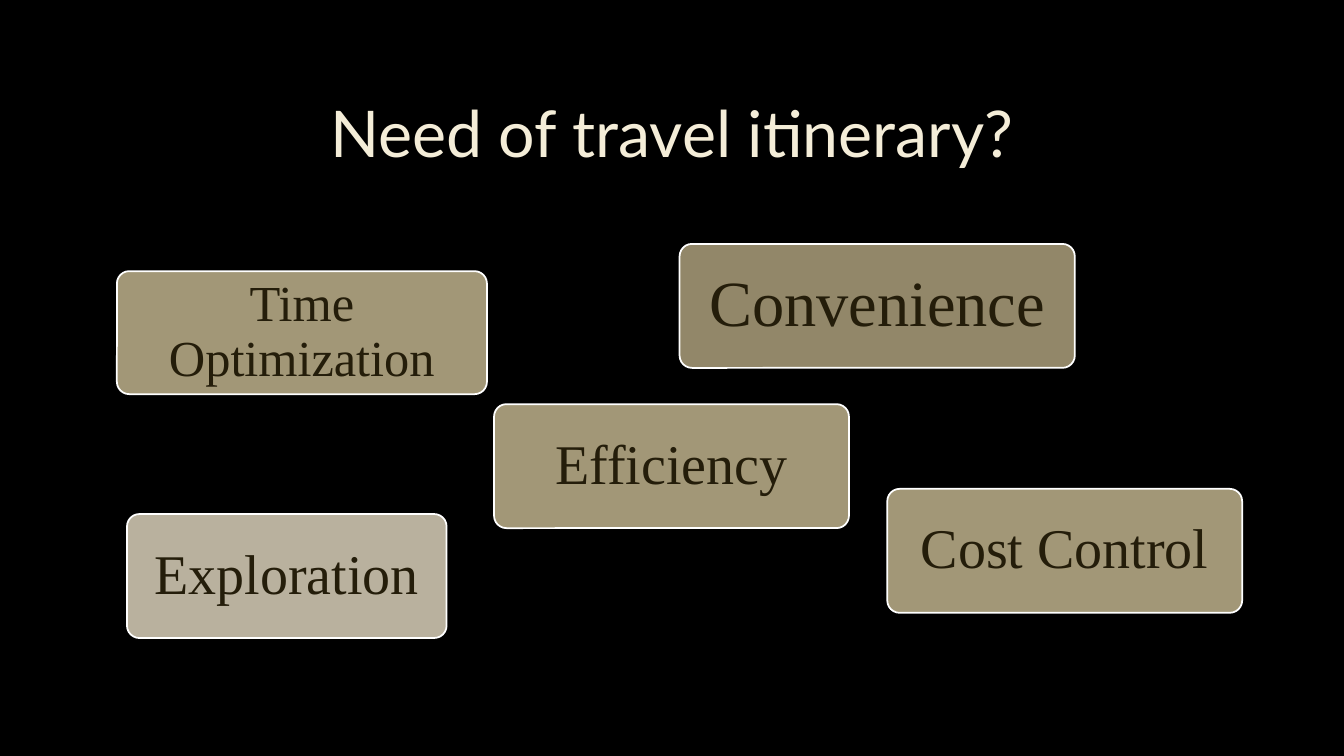
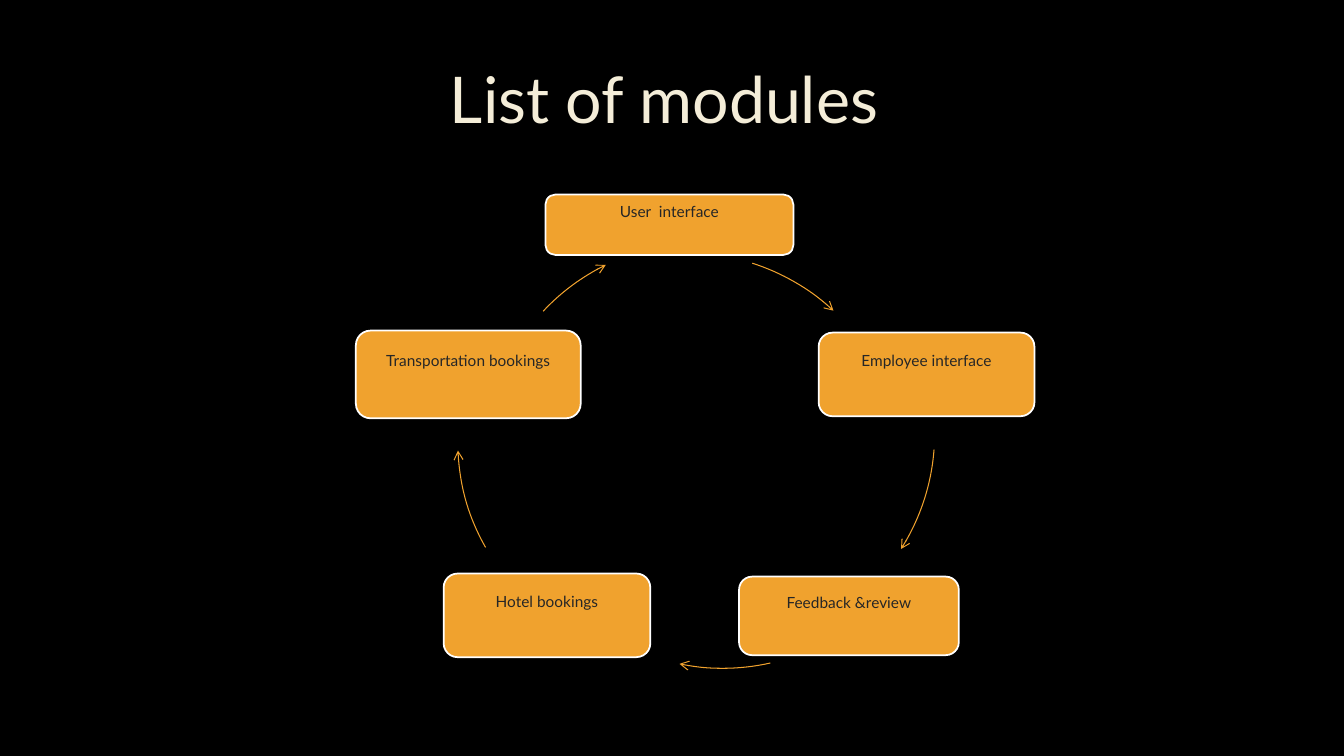
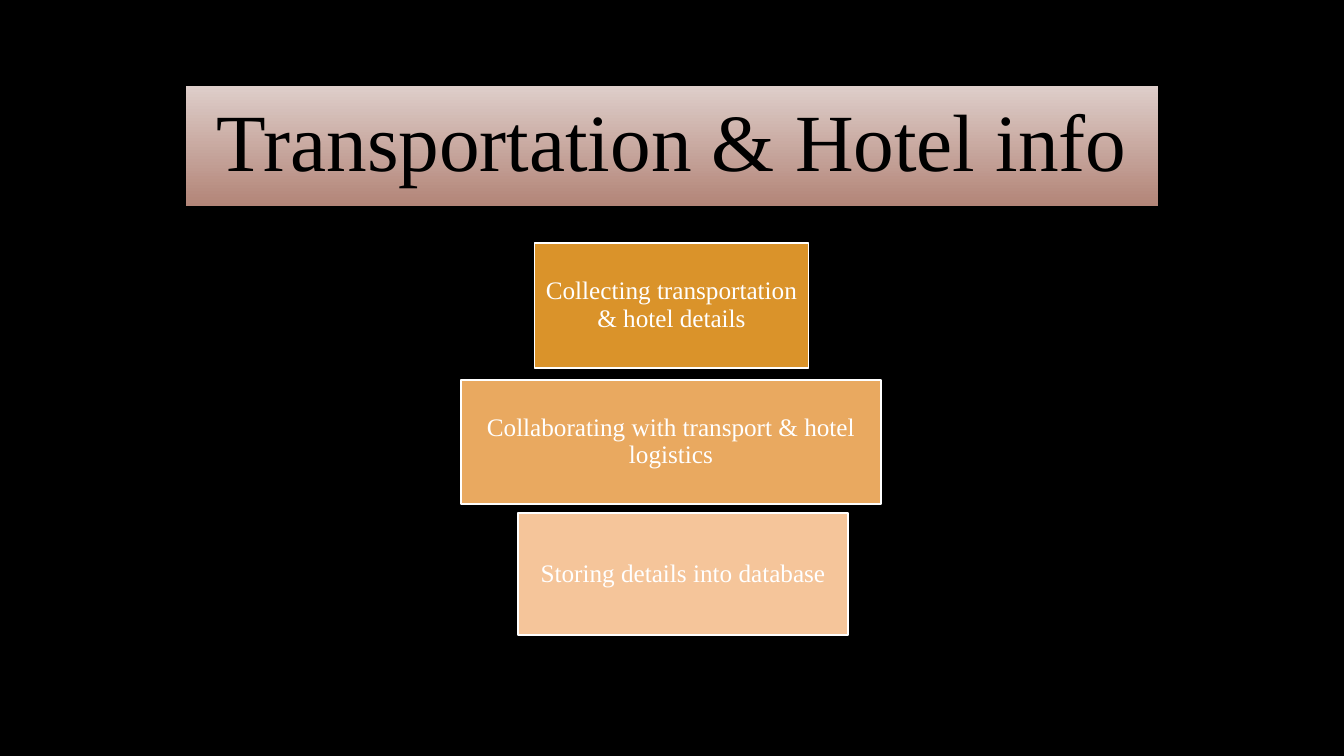
from dataclasses import dataclass
from pptx import Presentation
from pptx.dml.color import RGBColor
from pptx.enum.shapes import MSO_SHAPE
from pptx.enum.text import MSO_ANCHOR, MSO_AUTO_SIZE, PP_ALIGN
from pptx.oxml.ns import qn
from pptx.util import Inches, Pt
from lxml.etree import SubElement


@dataclass(frozen=True)
class Theme:
    back: str = "000000"
    cream: str = "F4EDD8"
    white: str = "FFFFFF"
    ink: str = "241D0A"
    gray: str = "262626"
    gold: str = "F0A22E"
    olive: str = "928769"
    tan: str = "A29777"
    stone: str = "B9B19E"
    steps: tuple = ("DA932A", "E9A960", "F5C59A")
    fade: tuple = ("DECECA", "B38578")
    sans: str = "Lato"
    serif: str = "Times New Roman"
    head: int = 46
    banner: int = 58
    big: int = 46
    mid: int = 40
    small: int = 36
    step: int = 18
    node: int = 11
    edge: float = 1.25
    thin: float = 0.75


T = Theme()


def rgb(code):
    return RGBColor.from_string(code)


def apply(item, form):
    for key, value in form.items():
        setattr(item, key, value)


def place(box, part):
    return box[0] + part[0], box[1] + part[1], *part[2:]


def write(shape, text, face, size, color, pads):
    frame = shape.text_frame
    sides = ("margin_left", "margin_top", "margin_right", "margin_bottom")
    apply(frame, {"text": text, "word_wrap": True,
                  "auto_size": MSO_AUTO_SIZE.NONE,
                  "vertical_anchor": MSO_ANCHOR.MIDDLE,
                  **dict(zip(sides, map(Inches, pads)))})
    para = frame.paragraphs[0]
    apply(para, {"alignment": PP_ALIGN.CENTER, "line_spacing": 0.9})
    font = para.runs[0].font
    apply(font, {"name": face, "size": Pt(size), "bold": False})
    font.color.rgb = rgb(color)


def stroke(shape, color, width):
    shape.shadow.inherit = False
    shape.line.color.rgb = rgb(color)
    shape.line.width = Pt(width)


def card(slide, box, kind, fill, adjust=None):
    shape = slide.shapes.add_shape(kind, *map(Inches, box))
    shape.fill.solid()
    shape.fill.fore_color.rgb = rgb(fill)
    stroke(shape, T.white, T.edge)
    if adjust is not None:
        shape.adjustments[0] = adjust
    return shape


def arc(slide, box, start, end):
    shape = slide.shapes.add_shape(MSO_SHAPE.ARC, *map(Inches, box))
    for index, angle in enumerate((start, end)):
        shape.adjustments[index] = angle * 0.6
    shape.fill.background()
    stroke(shape, T.gold, T.thin)
    SubElement(shape.line._get_or_add_ln(), qn("a:tailEnd"), type="arrow")


def title(slide, box, text, face=T.sans, size=T.head, color=T.cream, pad=0.1):
    shape = slide.shapes.title
    keys = ("left", "top", "width", "height")
    apply(shape, dict(zip(keys, map(Inches, box))))
    write(shape, text, face, size, color, (pad, pad / 2) * 2)
    return shape


def banner(slide, box, text):
    shape = title(slide, box, text, T.serif, T.banner, T.back, 0.16)
    shape.fill.gradient()
    shape.fill.gradient_angle = 270
    for stop, color, spot in zip(shape.fill.gradient_stops, T.fade, (0, 1)):
        stop.color.rgb = rgb(color)
        stop.position = spot


def needs(slide, box):
    cards = (
        ("Convenience", (5.58, 0, 3.92, 1.23), T.olive, T.big),
        ("Time Optimization", (0, 0.27, 3.67, 1.22), T.tan, T.small),
        ("Exploration", (0.1, 2.68, 3.17, 1.23), T.stone, T.mid),
        ("Efficiency", (3.74, 1.59, 3.52, 1.23), T.tan, T.mid),
        ("Cost Control", (7.64, 2.43, 3.52, 1.23), T.tan, T.mid),
    )
    for text, part, fill, size in cards:
        shape = card(slide, place(box, part), MSO_SHAPE.ROUNDED_RECTANGLE,
                     fill, 0.1)
        write(shape, text, T.serif, size, T.ink, (0.04 + size / 240,) * 4)


def cycle(slide, box):
    span = 4.28
    soft, flow = MSO_SHAPE.ROUNDED_RECTANGLE, MSO_SHAPE.FLOWCHART_ALTERNATE_PROCESS
    nodes = (
        ("User  interface", (1.88, 0, 2.46, 0.6), soft,
         (1.14, 0.58), (287.7, 312.9)),
        ("Employee interface", (4.59, 1.37, 2.14, 0.83), flow,
         (1.46, 0.23), (4.3, 32.4)),
        ("Feedback &review", (3.8, 3.79, 2.18, 0.78), soft,
         (1.5, 0.42), (77.3, 101.6)),
        ("Hotel bookings", (0.87, 3.76, 2.05, 0.83), soft,
         (1.01, 0.31), (150.6, 177.6)),
        ("Transportation bookings", (0, 1.35, 2.23, 0.87), soft,
         (1.28, 0.48), (223.1, 243.9)),
    )
    for text, part, kind, spot, turn in nodes:
        shape = card(slide, place(box, part), kind, T.gold)
        write(shape, text, T.sans, T.node, T.gray, (0.09, 0.09, 0.09, 0.34))
        arc(slide, place(box, (*spot, span, span)), *turn)


def stack(slide, box):
    rows = (
        ("Collecting transportation & hotel details", (0.73, 0, 2.72, 1.24)),
        ("Collaborating with transport & hotel logistics", (0, 1.36, 4.17, 1.23)),
        ("Storing details into database", (0.57, 2.68, 3.27, 1.21)),
    )
    for (text, part), fill in zip(rows, T.steps):
        shape = card(slide, place(box, part), MSO_SHAPE.RECTANGLE, fill)
        write(shape, text, T.serif, T.step, T.white, (0.05,) * 4)


def main():
    deck = Presentation()
    apply(deck, {"slide_width": Inches(13.33), "slide_height": Inches(7.5)})
    back = deck.slide_master.background.fill
    back.solid()
    back.fore_color.rgb = rgb(T.back)
    pages = (
        (title, (1, 0.67, 11.32, 1.38), "Need of travel itinerary?",
         needs, (1.16, 2.42)),
        (title, (2.9, 0.33, 7.37, 1.38), "List of modules",
         cycle, (3.53, 1.93)),
        (banner, (1.84, 0.85, 9.65, 1.19), "Transportation & Hotel info",
         stack, (4.57, 2.41)),
    )
    for head, top, text, body, box in pages:
        slide = deck.slides.add_slide(deck.slide_layouts[5])
        head(slide, top, text)
        body(slide, box)
    deck.save("out.pptx")


if __name__ == "__main__":
    main()
